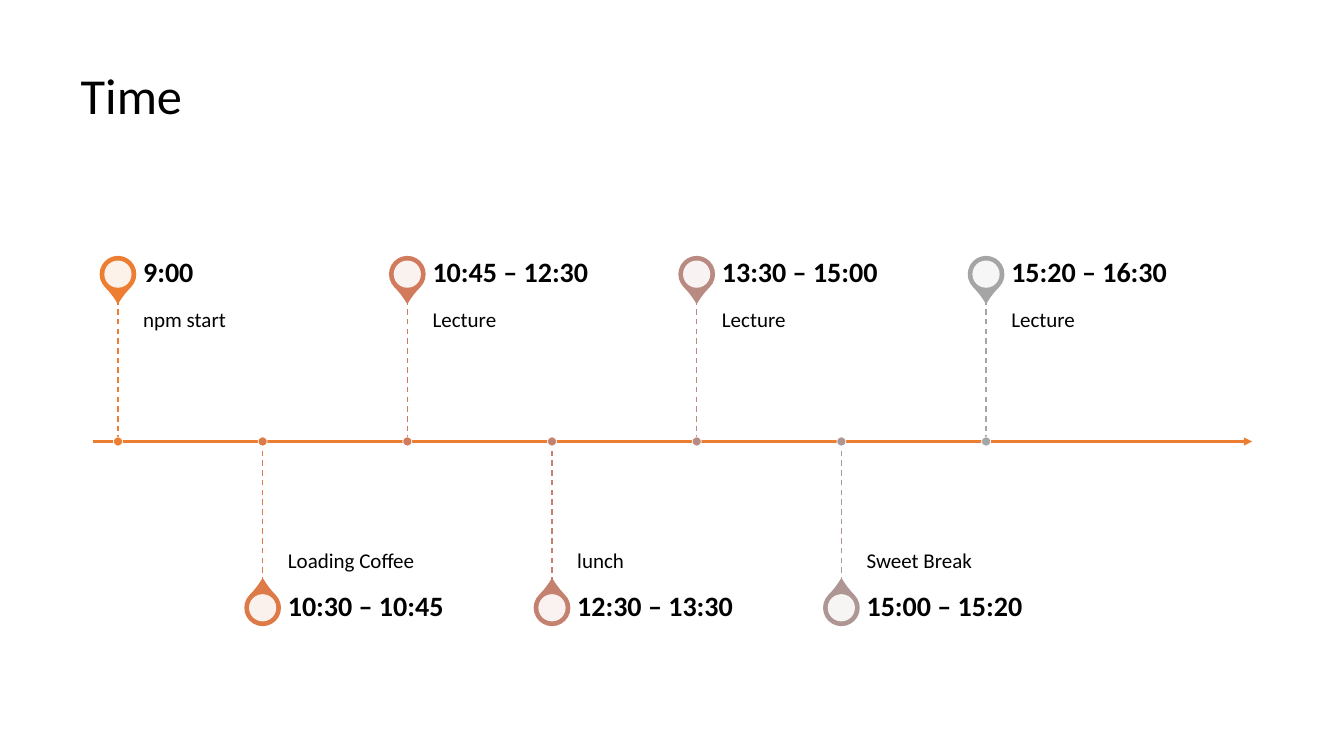
from dataclasses import dataclass

from lxml.etree import SubElement
from pptx import Presentation
from pptx.dml.color import RGBColor
from pptx.enum.dml import MSO_LINE_DASH_STYLE as Dash
from pptx.enum.shapes import MSO_CONNECTOR_TYPE as ConnectorType
from pptx.enum.shapes import MSO_SHAPE as ShapeType
from pptx.enum.text import MSO_ANCHOR as Anchor
from pptx.enum.text import MSO_AUTO_SIZE as AutoSize
from pptx.enum.text import PP_ALIGN as Align
from pptx.oxml.ns import qn
from pptx.shapes.autoshape import Shape
from pptx.shapes.connector import Connector
from pptx.slide import Slide
from pptx.text.text import TextFrame
from pptx.util import Inches, Pt


@dataclass(frozen=True)
class Theme:
    font: str = "Calibri"
    text: str = "000000"
    paper: str = "FFFFFF"
    axis: str = "ED7D31"
    title_size: int = 36
    time_size: int = 20
    label_size: int = 15


@dataclass(frozen=True)
class Event:
    time: str
    label: str
    color: str


@dataclass(frozen=True)
class Side:
    """Vertical layout of the events on one side of the axis."""
    pin_y: float
    pin_rotation: int
    time_top: float
    line_end: float
    label_top: float
    label_anchor: Anchor
    label_insets: tuple[float, float, float, float]


THEME = Theme()
EVENTS = [
    Event("9:00", "npm start", "ED7D31"),
    Event("10:30 – 10:45", "Loading Coffee", "DE7A47"),
    Event("10:45 – 12:30", "Lecture", "D17B5C"),
    Event("12:30 – 13:30", "lunch", "C48170"),
    Event("13:30 – 15:00", "Lecture", "B98A82"),
    Event("15:00 – 15:20", "Sweet Break", "AE9694"),
    Event("15:20 – 16:30", "Lecture", "A5A5A5"),
]
ABOVE = Side(2.72, 135, 2.47, 2.97, 2.97, Anchor.TOP, (0, 0.1, 0.1, 0.16))
BELOW = Side(6.03, 315, 5.78, 5.78, 4.38, Anchor.BOTTOM, (0, 0.16, 0, 0.1))

AXIS_Y, AXIS_LEFT, AXIS_RIGHT = 4.38, 0.92, 12.42
FIRST_X, LAST_X = 1.17, 9.78
PITCH = (LAST_X - FIRST_X) / (len(EVENTS) - 1)
PIN_SIZE, PIN_HOLE_SIZE, DOT_SIZE = 0.35, 0.27, 0.09
TEXT_OFFSET, TEXT_WIDTH = 0.25, 2.39
TIME_HEIGHT, LABEL_HEIGHT = 0.49, 1.41


def format_text(frame: TextFrame, text: str, size: int, bold: bool = False) -> None:
    frame.text = text
    frame.word_wrap = True
    frame.auto_size = AutoSize.NONE
    paragraph = frame.paragraphs[0]
    paragraph.alignment = Align.LEFT
    paragraph.line_spacing = 0.9
    font = paragraph.runs[0].font
    font.name, font.size, font.bold = THEME.font, Pt(size), bold
    font.color.rgb = RGBColor.from_string(THEME.text)


def add_text(slide: Slide, left: float, top: float, height: float, text: str, size: int,
             anchor: Anchor, insets: tuple[float, float, float, float],
             bold: bool = False) -> None:
    box = slide.shapes.add_textbox(Inches(left), Inches(top),
                                   Inches(TEXT_WIDTH), Inches(height))
    frame = box.text_frame
    format_text(frame, text, size, bold)
    frame.vertical_anchor = anchor
    (frame.margin_left, frame.margin_top,
     frame.margin_right, frame.margin_bottom) = map(Inches, insets)


def add_line(slide: Slide, start: tuple[float, float], end: tuple[float, float],
             color: str, width: float) -> Connector:
    line = slide.shapes.add_connector(ConnectorType.STRAIGHT,
                                      *map(Inches, start), *map(Inches, end))
    line.line.color.rgb = RGBColor.from_string(color)
    line.line.width = Pt(width)
    SubElement(line._element.spPr, qn("a:effectLst"))
    return line


def add_centered(slide: Slide, kind: ShapeType, x: float, y: float, size: float,
                 fill: str, outline: str | None = None, width: float = 1) -> Shape:
    """Add a square-framed shape centred on (x, y)."""
    shape = slide.shapes.add_shape(kind, Inches(x - size / 2), Inches(y - size / 2),
                                   Inches(size), Inches(size))
    shape.shadow.inherit = False
    shape.fill.solid()
    shape.fill.fore_color.rgb = RGBColor.from_string(fill)
    if outline:
        shape.line.color.rgb = RGBColor.from_string(outline)
        shape.line.width = Pt(width)
    else:
        shape.line.fill.background()
    return shape


def add_title(slide: Slide, text: str) -> None:
    title = slide.shapes.title
    title.left, title.top = Inches(0.7), Inches(0.35)
    title.width, title.height = Inches(11.93), Inches(1.24)
    format_text(title.text_frame, text, THEME.title_size)
    title.text_frame.vertical_anchor = Anchor.MIDDLE


def add_axis(slide: Slide) -> None:
    axis = add_line(slide, (AXIS_LEFT, AXIS_Y), (AXIS_RIGHT, AXIS_Y), THEME.axis, 1.5)
    SubElement(axis.line._get_or_add_ln(), qn("a:tailEnd"), type="triangle")


def add_pin(slide: Slide, x: float, side: Side, color: str) -> None:
    pin = add_centered(slide, ShapeType.TEAR, x, side.pin_y, PIN_SIZE, color, color)
    pin.adjustments[0] = 1.15
    pin.rotation = side.pin_rotation
    hole = add_centered(slide, ShapeType.OVAL, x, side.pin_y, PIN_HOLE_SIZE, THEME.paper)
    fill_color = hole._element.spPr.find(f"{qn('a:solidFill')}/{qn('a:srgbClr')}")
    SubElement(fill_color, qn("a:alpha"), val="90000")


def add_event(slide: Slide, event: Event, x: float, side: Side) -> None:
    add_pin(slide, x, side, event.color)
    text_left = x + TEXT_OFFSET
    add_text(slide, text_left, side.label_top, LABEL_HEIGHT, event.label,
             THEME.label_size, side.label_anchor, side.label_insets)
    add_text(slide, text_left, side.time_top, TIME_HEIGHT, event.time,
             THEME.time_size, Anchor.MIDDLE, (0, 0, 0.14, 0), bold=True)
    stem = add_line(slide, (x, side.line_end), (x, AXIS_Y), event.color, 1)
    stem.line.dash_style = Dash.DASH
    add_centered(slide, ShapeType.OVAL, x, AXIS_Y, DOT_SIZE, event.color, THEME.paper, 0.5)


def main() -> None:
    presentation = Presentation()
    presentation.slide_width, presentation.slide_height = Inches(13.33), Inches(7.5)
    title_only = presentation.slide_layouts.get_by_name("Title Only")
    slide = presentation.slides.add_slide(title_only)
    add_title(slide, "Time")
    add_axis(slide)
    for index, event in enumerate(EVENTS):
        side = BELOW if index % 2 else ABOVE
        add_event(slide, event, FIRST_X + index * PITCH, side)
    presentation.save("out.pptx")


if __name__ == "__main__":
    main()
